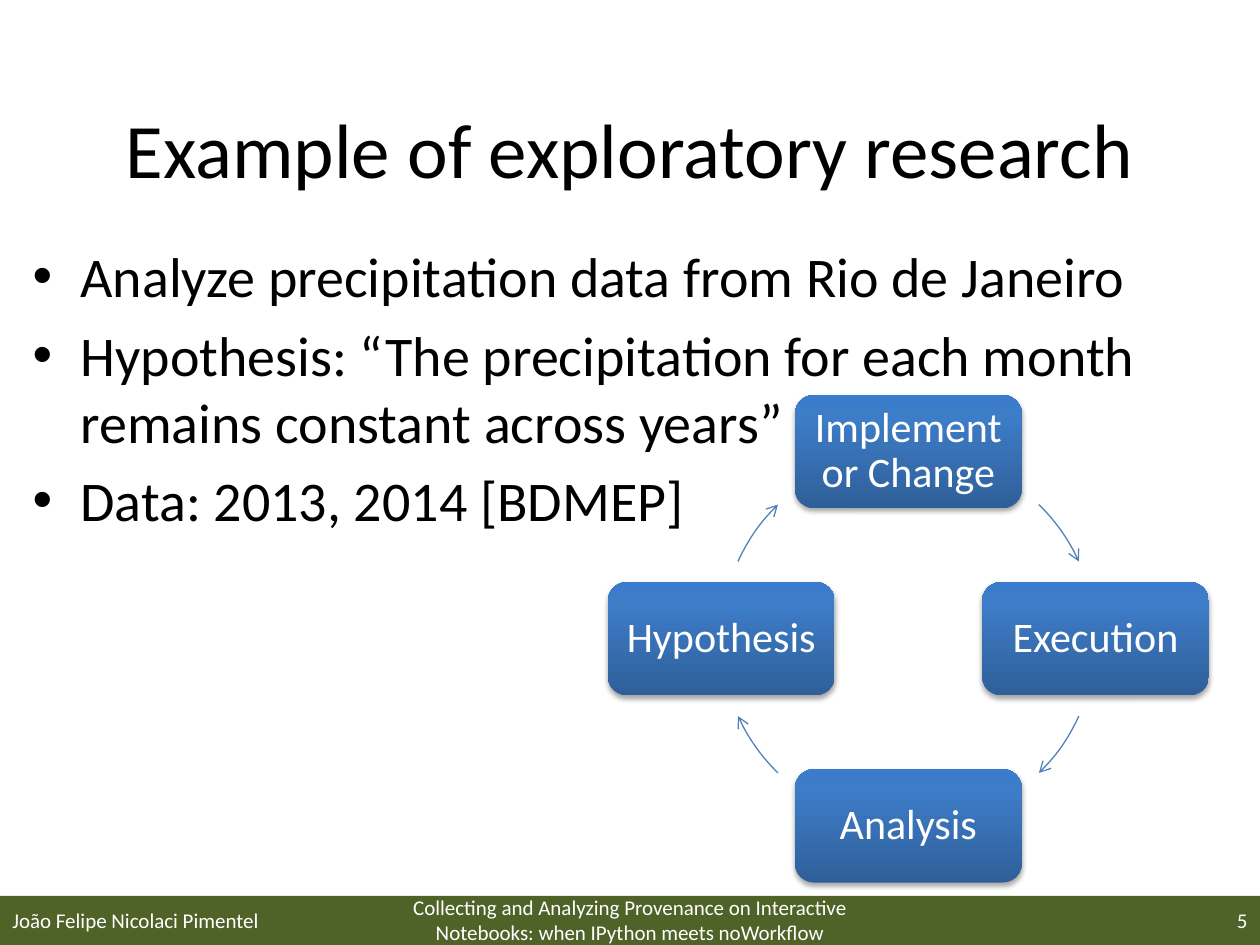
from lxml import etree
from pptx import Presentation
from pptx.dml.color import RGBColor
from pptx.enum.shapes import MSO_SHAPE
from pptx.enum.text import MSO_ANCHOR, PP_ALIGN
from pptx.oxml import parse_xml
from pptx.oxml.ns import qn
from pptx.util import Inches, Pt

RECT, ROUNDED, ARC = MSO_SHAPE.RECTANGLE, MSO_SHAPE.ROUNDED_RECTANGLE, MSO_SHAPE.ARC
LEFT, CENTER, RIGHT = PP_ALIGN.LEFT, PP_ALIGN.CENTER, PP_ALIGN.RIGHT
TOP, MIDDLE = MSO_ANCHOR.TOP, MSO_ANCHOR.MIDDLE

WIDTH, HEIGHT = 10, 7.5
FONT = "Calibri"
BLACK = RGBColor(0, 0, 0)
WHITE = RGBColor(0xFF, 0xFF, 0xFF)
GREEN = RGBColor(0x4F, 0x62, 0x28)
ARROW_BLUE = RGBColor(0x4F, 0x81, 0xBD)
GRADIENT = [
    (0, RGBColor(0x2F, 0x5F, 0x99)),
    (80, RGBColor(0x3D, 0x7C, 0xC7)),
    (100, RGBColor(0x3A, 0x7C, 0xCB)),
]
NS = 'xmlns:a="http://schemas.openxmlformats.org/drawingml/2006/main"'

CYCLE_X, CYCLE_Y, RADIUS = 7.21, 5.07, 1.485
NODE_W, NODE_H = 1.8, 0.9
NODES = [
    ("Implement or Change", 0, -1),
    ("Execution", 1, 0),
    ("Analysis", 0, 1),
    ("Hypothesis", -1, 0),
]
ARC_START, ARC_END = 45.8, 24.4
ARCS = [
    (360 - ARC_START, 360 - ARC_END),
    (ARC_END, ARC_START),
    (180 - ARC_START, 180 - ARC_END),
    (180 + ARC_END, 180 + ARC_START),
]
BULLETS = [
    "Analyze precipitation data from Rio de Janeiro",
    "Hypothesis: “The precipitation for each month remains constant across years”",
    "Data: 2013, 2014 [BDMEP]",
]


def style(p, size, color, align):
    p.alignment = align
    for r in p.runs:
        r.font.name = FONT
        r.font.size = Pt(size)
        r.font.color.rgb = color


def add_shape(slide, kind, x, y, w, h):
    s = slide.shapes.add_shape(kind, Inches(x), Inches(y), Inches(w), Inches(h))
    s.shadow.inherit = False
    return s


def add_text(slide, text, x, y, w, h, size, color, align=LEFT, anchor=MIDDLE):
    s = slide.shapes.add_textbox(Inches(x), Inches(y), Inches(w), Inches(h))
    tf = s.text_frame
    tf.word_wrap = True
    tf.vertical_anchor = anchor
    tf.text = text
    for p in tf.paragraphs:
        style(p, size, color, align)
    return tf


def add_bullets(slide, items, x, y, w, h):
    tf = add_text(slide, "\n".join(items), x, y, w, h, 32, BLACK, anchor=TOP)
    for i, p in enumerate(tf.paragraphs):
        pPr = p._p.get_or_add_pPr()
        pPr.set("marL", str(Inches(0.38)))
        pPr.set("indent", str(-Inches(0.38)))
        etree.SubElement(pPr, qn("a:buFont"), typeface="Arial")
        etree.SubElement(pPr, qn("a:buChar"), char="•")
        if i:
            p.space_before = Pt(6.4)


def add_node(slide, text, col, row):
    s = add_shape(slide, ROUNDED, CYCLE_X + col * RADIUS - NODE_W / 2,
                  CYCLE_Y + row * RADIUS - NODE_H / 2, NODE_W, NODE_H)
    s.line.fill.background()
    spPr = s._element.spPr
    stops = "".join(f'<a:gs pos="{pos * 1000}"><a:srgbClr val="{color}"/></a:gs>'
                    for pos, color in GRADIENT)
    spPr.find(qn("a:ln")).addprevious(parse_xml(
        f'<a:gradFill {NS} rotWithShape="1"><a:gsLst>{stops}</a:gsLst>'
        '<a:lin ang="16200000" scaled="0"/></a:gradFill>'))
    spPr.find(qn("a:effectLst")).append(parse_xml(
        f'<a:outerShdw {NS} blurRad="{Pt(3.1)}" dist="{Pt(1.8)}" dir="5400000" '
        'rotWithShape="0"><a:srgbClr val="000000"><a:alpha val="35000"/>'
        '</a:srgbClr></a:outerShdw>'))
    tf = s.text_frame
    tf.word_wrap = True
    tf.vertical_anchor = MIDDLE
    tf.margin_left = tf.margin_right = tf.margin_top = tf.margin_bottom = Inches(0.1)
    tf.text = text
    p = tf.paragraphs[0]
    p.line_spacing = 0.9
    style(p, 24, WHITE, CENTER)


def add_arc_arrow(slide, start, end):
    s = add_shape(slide, ARC, CYCLE_X - RADIUS, CYCLE_Y - RADIUS, 2 * RADIUS, 2 * RADIUS)
    s.adjustments[0] = start * 0.6
    s.adjustments[1] = end * 0.6
    s.fill.background()
    s.line.color.rgb = ARROW_BLUE
    s.line.width = Pt(0.75)
    etree.SubElement(s.line._get_or_add_ln(), qn("a:tailEnd"), type="arrow")


def add_footer(slide):
    bar = add_shape(slide, RECT, 0, 7.11, WIDTH, 0.39)
    bar.fill.solid()
    bar.fill.fore_color.rgb = GREEN
    bar.line.fill.background()
    side, middle = 2.33, 3.92
    for text, x, w, align in [
        ("João Felipe Nicolaci Pimentel", 0, side, LEFT),
        ("Collecting and Analyzing Provenance on Interactive Notebooks: "
         "when IPython meets noWorkflow", (WIDTH - middle) / 2, middle, CENTER),
        ("5", WIDTH - side, side, RIGHT),
    ]:
        add_text(slide, text, x, 7.1, w, 0.4, 12, WHITE, align)


def main():
    prs = Presentation()
    prs.slide_width, prs.slide_height = Inches(WIDTH), Inches(HEIGHT)
    slide = prs.slides.add_slide(prs.slide_layouts[6])
    add_footer(slide)
    add_text(slide, "Example of exploratory research", 0.5, 0.55, 9, 1.25, 44, BLACK, CENTER)
    add_bullets(slide, BULLETS, 0.16, 1.87, 9.69, 5.16)
    for node, arc in zip(NODES, ARCS):
        add_node(slide, *node)
        add_arc_arrow(slide, *arc)
    prs.save("out.pptx")


if __name__ == "__main__":
    main()
